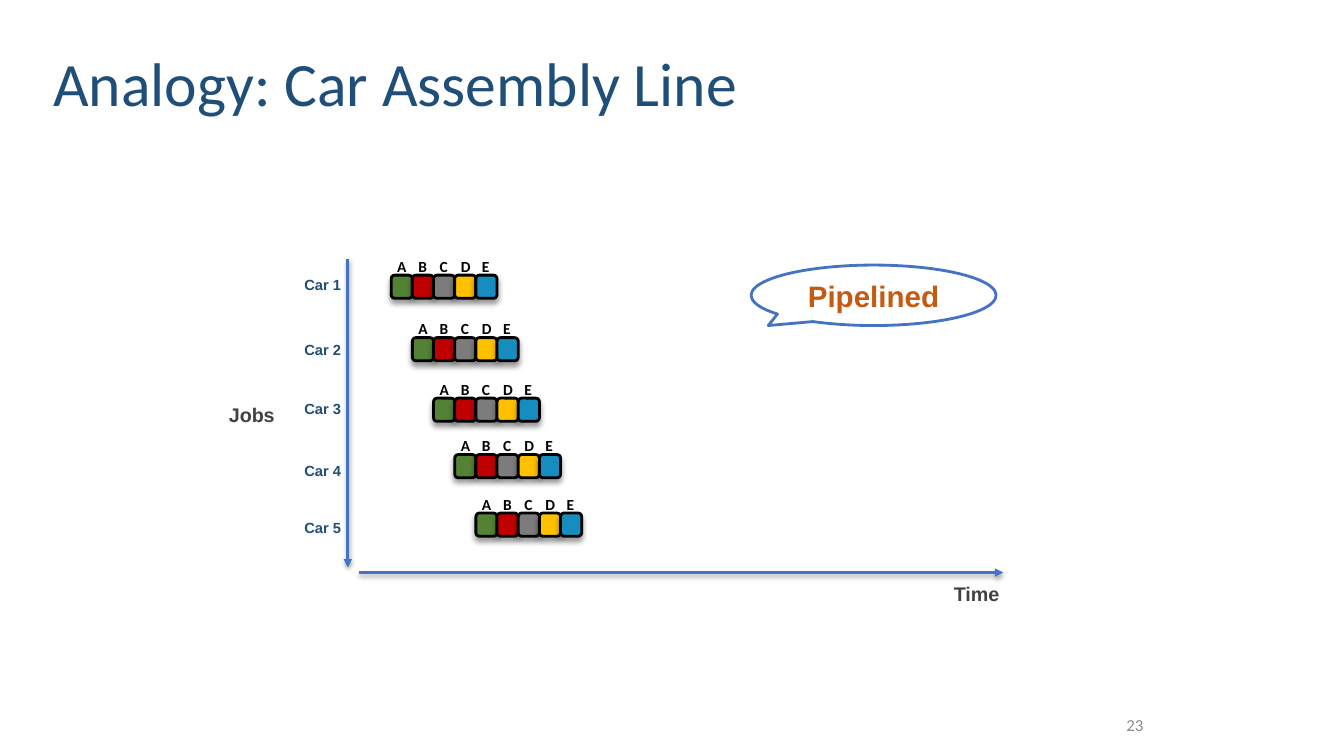
from lxml import etree
from pptx import Presentation
from pptx.dml.color import RGBColor
from pptx.enum.shapes import MSO_CONNECTOR, MSO_SHAPE
from pptx.enum.text import MSO_ANCHOR, PP_ALIGN
from pptx.oxml.ns import qn
from pptx.util import Inches, Pt

BLACK = RGBColor(0x00, 0x00, 0x00)
WHITE = RGBColor(0xFF, 0xFF, 0xFF)
BLUE = RGBColor(0x44, 0x72, 0xC4)
NAVY = RGBColor(0x1F, 0x4E, 0x79)
ORANGE = RGBColor(0xC5, 0x5A, 0x11)
DARK_GRAY = RGBColor(0x41, 0x41, 0x41)
PALE_GRAY = RGBColor(0x8C, 0x8C, 0x8C)

STAGES = {
    "A": RGBColor(0x54, 0x82, 0x35),
    "B": RGBColor(0xC0, 0x00, 0x00),
    "C": RGBColor(0x7C, 0x7C, 0x7C),
    "D": RGBColor(0xFF, 0xC0, 0x00),
    "E": RGBColor(0x16, 0x8D, 0xBE),
}
BLOCK_W, BLOCK_H = 0.21, 0.23
# Tops of the name and of the blocks of each car, from the top of the chart
CAR_TOPS = [(0.13, 0.16), (0.77, 0.78), (1.36, 1.38), (1.97, 1.94), (2.54, 2.52)]

TITLE = {"name": "Calibri", "size": Pt(44)}
PAGE = {"name": "Calibri", "size": Pt(12)}
STAGE = {"name": "Calibri", "size": Pt(11), "bold": True}
CAR = {"name": "Arial", "size": Pt(10.5), "bold": True}
AXIS = {"name": "Arial", "size": Pt(14.1), "bold": True}
CALLOUT = {"name": "Arial", "size": Pt(21.1), "bold": True}

DEFAULT_INSETS = (0.1, 0.05, 0.1, 0.05)
LABEL_INSETS = (0.04, 0.04, 0, 0.04)
STAGE_INSETS = (0.08, 0.05, 0, 0.05)


def write(sp, text, font, color, insets=DEFAULT_INSETS,
          align=PP_ALIGN.LEFT, anchor=MSO_ANCHOR.TOP):
    tf = sp.text_frame
    tf.word_wrap = True
    tf.vertical_anchor = anchor
    for side, inset in zip(("left", "top", "right", "bottom"), insets):
        setattr(tf, f"margin_{side}", Inches(inset))
    p = tf.paragraphs[0]
    p.alignment = align
    r = p.add_run()
    r.text = text
    for name, value in font.items():
        setattr(r.font, name, value)
    r.font.color.rgb = color
    return p


def add_text(s, box, *args, **kwargs):
    sp = s.shapes.add_textbox(*map(Inches, box))
    return write(sp, *args, **kwargs)


def add_preset(s, preset, box, fill, line):
    sp = s.shapes.add_shape(preset, *map(Inches, box))
    sp.shadow.inherit = False
    sp.fill.solid()
    sp.fill.fore_color.rgb = fill
    sp.line.color.rgb = line
    sp.line.width = Pt(2)
    return sp


def add_shadow(sp, opacity, blur, distance):
    """Drop a black shadow straight down; blur and distance are in points."""
    sp_pr = sp._element.spPr
    effects = sp_pr.find(qn("a:effectLst"))
    if effects is None:
        effects = etree.SubElement(sp_pr, qn("a:effectLst"))
    shadow = etree.SubElement(
        effects, qn("a:outerShdw"), blurRad=str(Pt(blur)),
        dist=str(Pt(distance)), dir="5400000", rotWithShape="0")
    color = etree.SubElement(shadow, qn("a:srgbClr"), val=str(BLACK))
    etree.SubElement(color, qn("a:alpha"), val=str(opacity * 1000))


def add_arrow(s, x1, y1, x2, y2):
    line = s.shapes.add_connector(
        MSO_CONNECTOR.STRAIGHT, *map(Inches, (x1, y1, x2, y2)))
    line.line.color.rgb = BLUE
    line.line.width = Pt(2)
    etree.SubElement(line.line._get_or_add_ln(), qn("a:tailEnd"), type="triangle")
    add_shadow(line, 38, 3, 1.6)


def add_axes(s, left, top, width, height):
    bottom = top + height
    right = left + width
    add_arrow(s, left + 0.11, bottom, right, bottom)
    add_arrow(s, left, top, left, bottom - 0.05)
    add_text(s, (right - 0.53, bottom + 0.05, 0.53, 0.31),
             "Time", AXIS, DARK_GRAY, LABEL_INSETS)
    add_text(s, (left - 1.22, top + 1.39, 0.53, 0.31),
             "Jobs", AXIS, DARK_GRAY, LABEL_INSETS)


def add_car(s, left, top):
    """Draw the row of assembly stages of one car, with a letter over each."""
    for i, (letter, color) in enumerate(STAGES.items()):
        x = left + i * BLOCK_W
        block = add_preset(s, MSO_SHAPE.ROUNDED_RECTANGLE,
                           (x, top, BLOCK_W, BLOCK_H), color, BLACK)
        add_shadow(block, 40, 4, 3)
        add_text(s, (x - 0.02, top - 0.23, 0.18, 0.29),
                 letter, STAGE, BLACK, STAGE_INSETS)


def add_pipeline(s, left, top, width, height):
    add_axes(s, left, top, width, height)
    for i, (name_top, blocks_top) in enumerate(CAR_TOPS):
        add_text(s, (left - 0.47, top + name_top, 0.53, 0.26),
                 f"Car {i + 1}", CAR, NAVY, LABEL_INSETS)
        add_car(s, left + 0.43 + i * BLOCK_W, top + blocks_top)


def add_callout(s, *box):
    sp = add_preset(s, MSO_SHAPE.OVAL_CALLOUT, box, WHITE, BLUE)
    sp.adjustments[0] = -0.43
    sp.adjustments[1] = 0.5
    write(sp, "Pipelined", CALLOUT, ORANGE, (0.04,) * 4,
          PP_ALIGN.CENTER, MSO_ANCHOR.MIDDLE)


def main():
    prs = Presentation()
    prs.slide_width = Inches(13.33)
    prs.slide_height = Inches(7.5)
    s = prs.slides.add_slide(prs.slide_layouts[6])
    title = add_text(s, (0.43, -0.21, 11.5, 1.45), "Analogy: Car Assembly Line",
                     TITLE, NAVY, anchor=MSO_ANCHOR.BOTTOM)
    title.line_spacing = 0.9
    add_pipeline(s, 3.45, 2.57, 6.5, 3.11)
    add_callout(s, 7.45, 2.63, 2.43, 0.6)
    add_text(s, (9.11, 6.99, 2.33, 0.4), "23", PAGE, PALE_GRAY,
             align=PP_ALIGN.RIGHT, anchor=MSO_ANCHOR.MIDDLE)
    prs.save("out.pptx")


if __name__ == "__main__":
    main()
